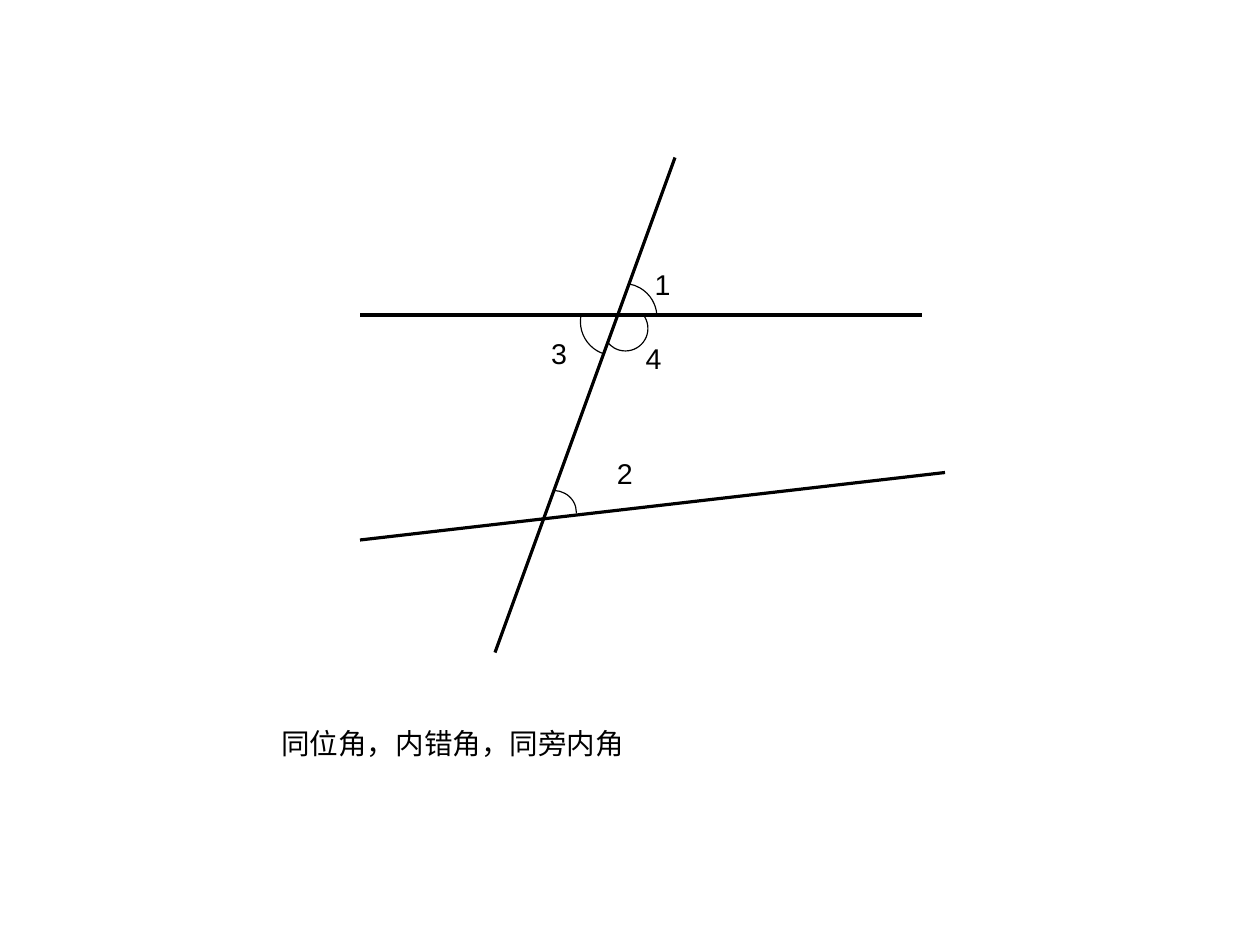
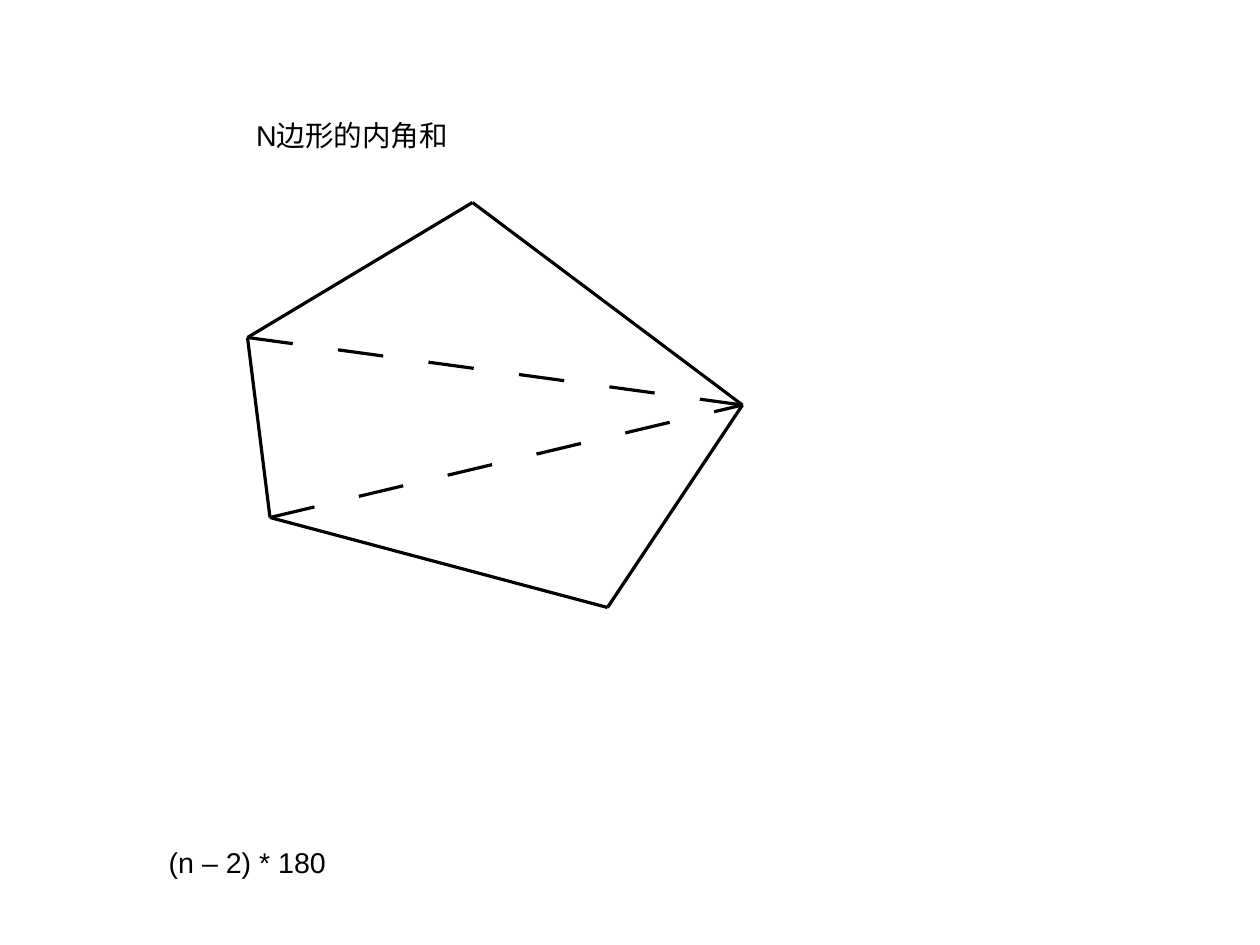
from dataclasses import dataclass
from itertools import pairwise

from lxml.etree import SubElement
from pptx import Presentation
from pptx.dml.color import RGBColor
from pptx.enum.shapes import MSO_CONNECTOR as Connector, MSO_SHAPE as Preset
from pptx.enum.text import MSO_ANCHOR as Anchor
from pptx.oxml.ns import qn
from pptx.slide import Slide
from pptx.util import Cm, Pt


@dataclass(frozen=True)
class Theme:
    ink: RGBColor = RGBColor(0, 0, 0)
    font: str = "Arial"
    text_size: int = 18
    line_width: float = 0  # hairline
    dash_percent: int = 1429  # dash and gap length


THEME = Theme()


# Repeated elements, lengths in centimetres
@dataclass(frozen=True)
class Point:
    x: float
    y: float


@dataclass(frozen=True)
class AngleMark:
    left: float
    top: float
    width: float
    height: float
    start: float  # degrees, clockwise from the right
    end: float


@dataclass(frozen=True)
class Label:
    text: str
    left: float
    top: float
    width: float = 0.86
    height: float = 0.97
    wrap: bool = False


# Drawing functions
def style_line(line) -> None:
    line.color.rgb = THEME.ink
    line.width = Pt(THEME.line_width)


def draw_line(slide: Slide, start: Point, end: Point, dashed: bool = False) -> None:
    connector = slide.shapes.add_connector(
        Connector.STRAIGHT, Cm(start.x), Cm(start.y), Cm(end.x), Cm(end.y))
    style_line(connector.line)
    properties = connector._element.spPr
    if dashed:
        dashes = SubElement(properties.find(qn("a:ln")), qn("a:custDash"))
        length = str(THEME.dash_percent * 1000)
        SubElement(dashes, qn("a:ds"), d=length, sp=length)
    SubElement(properties, qn("a:effectLst"))


def draw_angle(slide: Slide, mark: AngleMark) -> None:
    shape = slide.shapes.add_shape(
        Preset.ARC, Cm(mark.left), Cm(mark.top), Cm(mark.width), Cm(mark.height))
    shape.shadow.inherit = False
    shape.fill.background()
    style_line(shape.line)
    # Arc angles count 60000 per degree, adjustments 100000 per unit
    for index, degrees in enumerate((mark.start, mark.end)):
        shape.adjustments[index] = degrees * 0.6


def add_text(slide: Slide, text: str, *, left: float, top: float, width: float,
             height: float, wrap: bool = False) -> None:
    shape = slide.shapes.add_textbox(Cm(left), Cm(top), Cm(width), Cm(height))
    frame = shape.text_frame
    frame.word_wrap = wrap
    frame.vertical_anchor = Anchor.TOP
    paragraph = frame.paragraphs[0]
    run = paragraph.add_run()
    run.text = text
    run.font.name = THEME.font
    run.font.size = Pt(THEME.text_size)
    run.font.color.rgb = THEME.ink


def add_labels(slide: Slide, labels: list[Label]) -> None:
    for label in labels:
        add_text(slide, label.text, left=label.left, top=label.top,
                 width=label.width, height=label.height, wrap=label.wrap)


# Slide 1: two lines cut by a third
def build_angles(slide: Slide) -> None:
    for start, end in (
        (Point(8, 7), Point(20.5, 7)),
        (Point(8, 12), Point(21, 10.5)),
        (Point(15, 3.5), Point(11, 14.5)),
    ):
        draw_line(slide, start, end)
    for mark in (
        AngleMark(13.1, 6.3, 1.5, 1.5, 280.59, 354.39),
        AngleMark(12.9, 6.4, 1.5, 1.5, 108.37, 194.15),
        AngleMark(11.79, 10.9, 1.02, 0.97, 271.64, 2.55),
        AngleMark(13.4, 6.8, 1, 1, 325.39, 144.19),
    ):
        draw_angle(slide, mark)
    add_labels(slide, [
        Label("1", 14.3, 5.8),
        Label("2", 13.46, 10),
        Label("4", 14.1, 7.45),
        Label("3", 12, 7.35),
        Label("同位角，内错角，同旁内角", 6, 16, 8.13, 1.17),
    ])


# Slide 2: a pentagon split into triangles from one corner
def build_polygon(slide: Slide) -> None:
    apex = Point(16.5, 9)
    top, left, lower_left, bottom = (
        Point(10.5, 4.5), Point(5.5, 7.5), Point(6, 11.5), Point(13.5, 13.5))
    for start, end in pairwise((apex, top, left, lower_left, bottom, apex)):
        draw_line(slide, start, end)
    for corner in (left, lower_left):
        draw_line(slide, corner, apex, dashed=True)
    add_labels(slide, [
        Label("N边形的内角和", 5.44, 2.5, 4.9, 1.9, wrap=True),
        Label("(n – 2) * 180", 3.5, 18.65, 4),
    ])


def main() -> None:
    presentation = Presentation()
    presentation.slide_width, presentation.slide_height = Cm(28), Cm(21)
    blank = presentation.slide_layouts[6]
    for build in (build_angles, build_polygon):
        build(presentation.slides.add_slide(blank))
    presentation.save("out.pptx")


if __name__ == "__main__":
    main()
